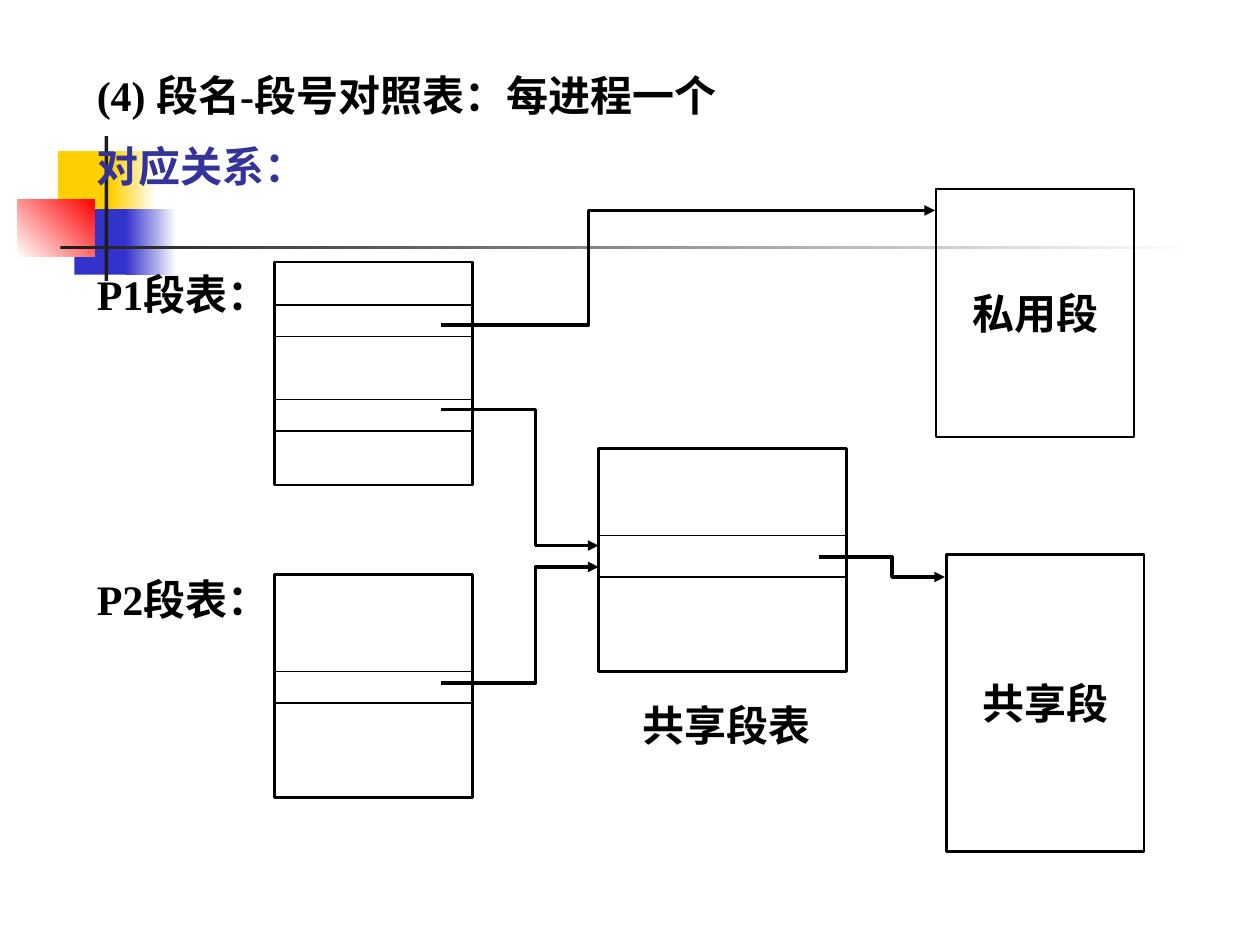
from typing import NamedTuple

from lxml import etree
from pptx import Presentation
from pptx.dml.color import RGBColor
from pptx.enum.shapes import MSO_CONNECTOR, MSO_SHAPE
from pptx.enum.text import MSO_ANCHOR, PP_ALIGN
from pptx.oxml.ns import qn
from pptx.util import Inches, Pt

FONT = "Times New Roman"
COLORS = {
    "black": "000000", "white": "FFFFFF", "yellow": "FFCF01", "blue": "3333CC",
    "red": "FF0000", "ink": "1C1C1C", "indigo": "333399",
}


class Block(NamedTuple):
    """Decorative bar; a second colour makes it a gradient."""
    x: float
    y: float
    w: float
    h: float
    color: str
    end: str = ""
    angle: float = 0


class Box(NamedTuple):
    """Outlined memory box with optional row dividers and label."""
    x: float
    y: float
    w: float
    h: float
    rows: tuple[float, ...] = ()
    label: str = ""


class Label(NamedTuple):
    x: float
    y: float
    w: float
    h: float
    lines: tuple[tuple[str, str], ...]


class Link(NamedTuple):
    """Elbow arrow: across to x_mid, up or down, then across to x_end."""
    x: float
    y: float
    x_mid: float
    x_end: float
    y_end: float


BLOCKS = [
    Block(0.46, 1.2, 0.48, 0.52, "yellow"),
    Block(0.88, 1.2, 0.36, 0.52, "yellow", "white"),
    Block(0.59, 1.66, 0.46, 0.52, "blue"),
    Block(1, 1.66, 0.4, 0.52, "blue", "white"),
    Block(0.14, 1.58, 0.61, 0.46, "white", "red", 45),
    Block(0.83, 1.08, 0.03, 1.15, "ink"),
    Block(0.48, 1.95, 9, 0.03, "ink", "white"),
]
BOXES = [
    Box(2.18, 2.08, 1.57, 1.77, (2.42, 2.67, 3.17, 3.42)),
    Box(2.18, 4.56, 1.57, 1.77, (5.33, 5.58)),
    Box(4.75, 3.56, 1.97, 1.77, (4.25, 4.58)),
    Box(7.43, 1.5, 1.57, 1.97, label="私用段"),
    Box(7.51, 4.4, 1.57, 2.36, label="共享段"),
]
LABELS = [
    Label(0.67, 0.5, 7, 1.1, (("(4) 段名-段号对照表：每进程一个", "black"),
                              ("对应关系：", "indigo"))),
    Label(5, 5.5, 1.67, 0.5, (("共享段表", "black"),)),
    Label(0.67, 2.08, 1.42, 0.5, (("P1段表：", "black"),)),
    Label(0.67, 4.5, 1.33, 0.5, (("P2段表：", "black"),)),
]
LINKS = [
    Link(3.5, 2.58, 4.67, 7.42, 1.67),
    Link(3.5, 3.25, 4.25, 4.75, 4.33),
    Link(3.5, 5.42, 4.25, 4.75, 4.5),
    Link(6.5, 4.42, 7.08, 7.5, 4.58),
]


def rgb(name: str) -> RGBColor:
    return RGBColor.from_string(COLORS[name])


def write(p, text: str, *, color="black", size=24, bold=True, align=None, before=0) -> None:
    p.alignment = align
    p.space_before = Pt(before)
    r = p.add_run()
    r.text = text
    r.font.name, r.font.size, r.font.bold = FONT, Pt(size), bold
    r.font.color.rgb = rgb(color)


def set_line(sp, width: float) -> None:
    sp.line.color.rgb = rgb("black")
    sp.line.width = Pt(width)


def add_rect(s, item: Block | Box):
    sp = s.shapes.add_shape(MSO_SHAPE.RECTANGLE, *map(Inches, item[:4]))
    sp.shadow.inherit = False
    return sp


def add_block(s, block: Block) -> None:
    sp = add_rect(s, block)
    sp.line.fill.background()
    if not block.end:
        sp.fill.solid()
        sp.fill.fore_color.rgb = rgb(block.color)
        return
    sp.fill.gradient()
    sp.fill.gradient_angle = block.angle
    for stop, color in zip(sp.fill.gradient_stops, (block.color, block.end)):
        stop.color.rgb = rgb(color)


def add_box(s, box: Box) -> None:
    sp = add_rect(s, box)
    sp.fill.background()
    set_line(sp, 1.5)
    if box.label:
        tf = sp.text_frame
        tf.word_wrap = False
        tf.vertical_anchor = MSO_ANCHOR.MIDDLE
        write(tf.paragraphs[0], box.label, align=PP_ALIGN.CENTER)
    for y in box.rows:
        line = s.shapes.add_connector(
            MSO_CONNECTOR.STRAIGHT, Inches(box.x), Inches(y), Inches(box.x + box.w), Inches(y))
        set_line(line, 0.75)
        etree.SubElement(line._element.spPr, qn("a:effectLst"))


def add_label(s, label: Label) -> None:
    tf = s.shapes.add_textbox(*map(Inches, label[:4])).text_frame
    tf.word_wrap = True
    for i, (text, color) in enumerate(label.lines):
        p = tf.add_paragraph() if i else tf.paragraphs[0]
        write(p, text, color=color, before=12 if i else 0)


def add_link(s, link: Link) -> None:
    builder = s.shapes.build_freeform(Inches(link.x), Inches(link.y))
    corners = [(link.x_mid, link.y), (link.x_mid, link.y_end), (link.x_end, link.y_end)]
    builder.add_line_segments([(Inches(x), Inches(y)) for x, y in corners], close=False)
    sp = builder.convert_to_shape()
    sp.shadow.inherit = False
    sp.fill.background()
    set_line(sp, 2)
    etree.SubElement(sp.line._get_or_add_ln(), qn("a:tailEnd"), type="triangle")


def main() -> None:
    prs = Presentation()
    prs.slide_width, prs.slide_height = Inches(10), Inches(7.5)
    s = prs.slides.add_slide(prs.slide_layouts[6])

    # Corner decoration, then the diagram
    for block in BLOCKS:
        add_block(s, block)
    for label in LABELS:
        add_label(s, label)
    for box in BOXES:
        add_box(s, box)
    for link in LINKS:
        add_link(s, link)

    prs.save("out.pptx")


if __name__ == "__main__":
    main()
